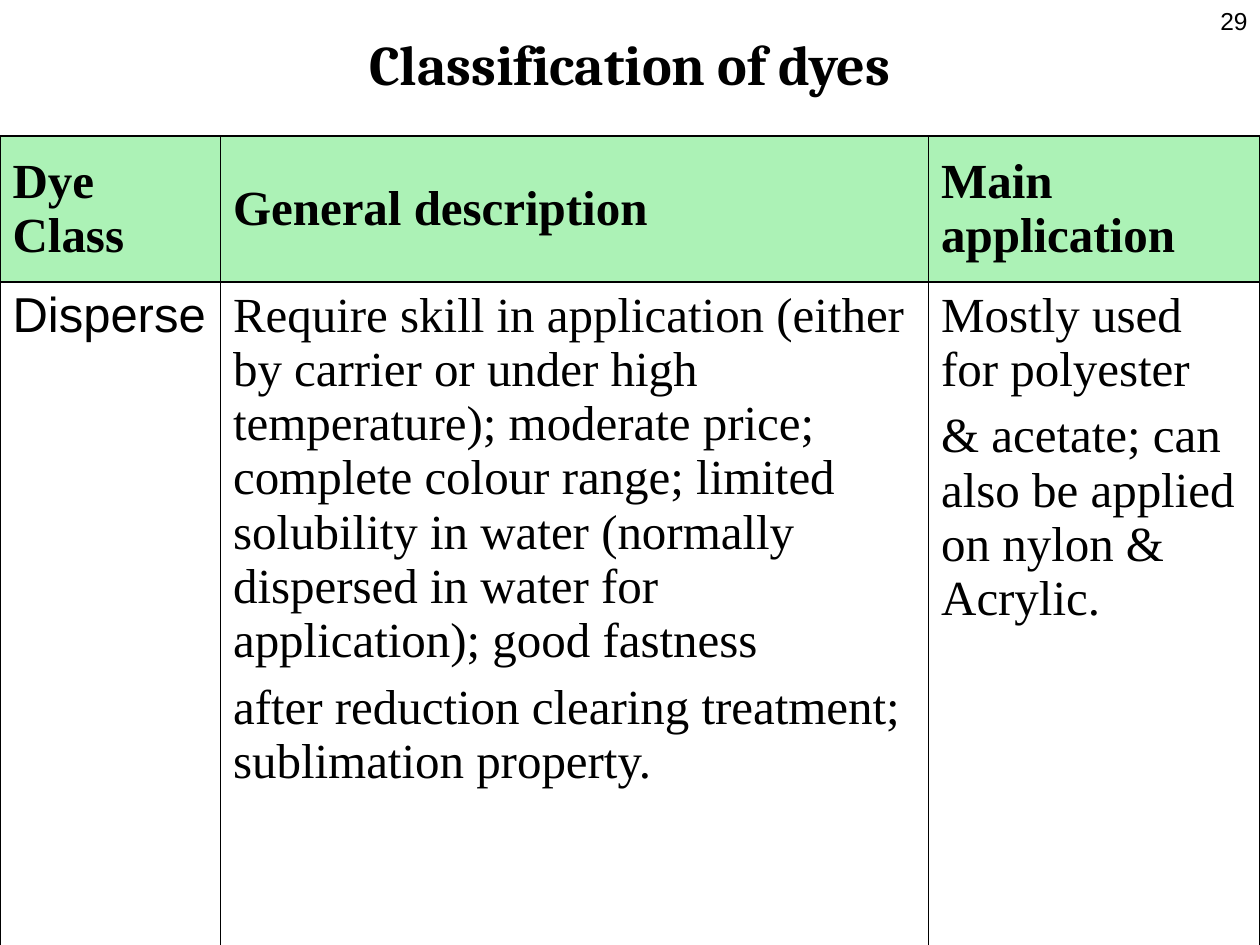
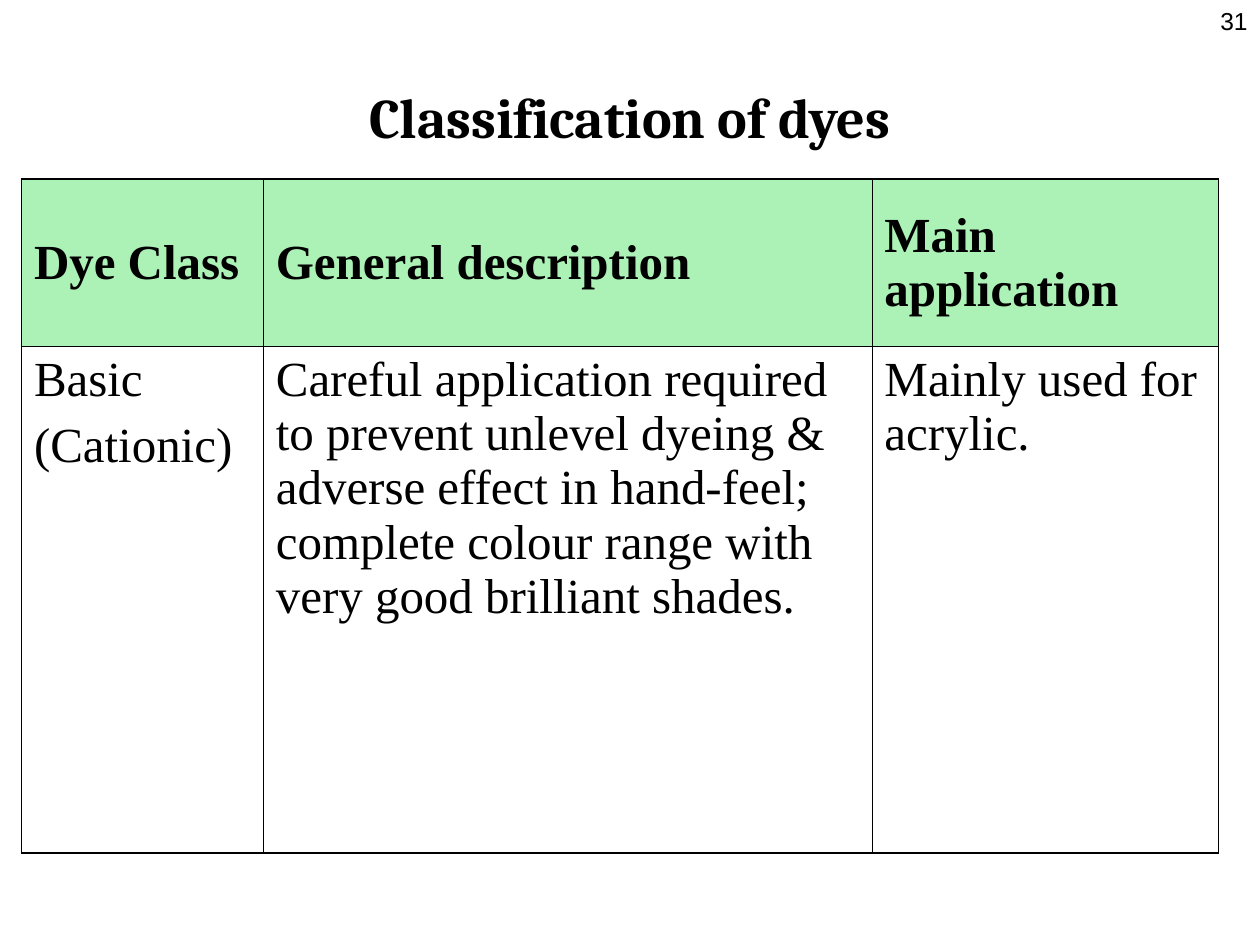
from lxml.etree import SubElement
from pptx import Presentation
from pptx.dml.color import RGBColor
from pptx.enum.text import MSO_ANCHOR, PP_ALIGN
from pptx.oxml.ns import qn
from pptx.util import Inches, Pt

BLACK = "000000"
HEADER_GREEN = "ACF2B6"
WHITE = "FFFFFF"
HEADINGS = ["Dye Class", "General description", "Main application"]
OUTER_LINE = 1.08
INNER_LINE = 0.45

DYE_SLIDES = [
    {
        "number": "29",
        "title_box": (0.75, 0, 8.5, 1),
        "table_corner": (0, 1.08),
        "column_widths": [1.75, 5.62, 2.63],
        "row_heights": [1.16, 6.01],
        "class_font": "Arial",
        "dye": [
            "Disperse",
            "Require skill in application (either by carrier or under high temperature); "
            "moderate price; complete colour range; limited solubility in water "
            "(normally dispersed in water for application); good fastness\n"
            "after reduction clearing treatment; sublimation property.",
            "Mostly used for polyester\n& acetate; can also be applied on nylon & Acrylic.",
        ],
    },
    {
        "number": "31",
        "title_box": (0.5, 0.3, 9, 1.25),
        "table_corner": (0.17, 1.42),
        "column_widths": [1.92, 4.83, 2.75],
        "row_heights": [1.33, 4.02],
        "class_font": "Times New Roman",
        "dye": [
            "Basic\n(Cationic)",
            "Careful application required to prevent unlevel dyeing & adverse effect in "
            "hand-feel; complete colour range with very good brilliant shades.",
            "Mainly used for acrylic.",
        ],
    },
]


def style_paragraph(paragraph, font_name, size, color, bold=False):
    paragraph.font.name = font_name
    paragraph.font.size = Pt(size)
    paragraph.font.bold = bold
    paragraph.font.color.rgb = RGBColor.from_string(color)


def set_borders(cell, widths):
    properties = cell._tc.get_or_add_tcPr()
    for position, (side, width) in enumerate(widths.items()):
        line = SubElement(properties, qn(f"a:ln{side}"), w=str(Pt(width)))
        fill = SubElement(line, qn("a:solidFill"))
        SubElement(fill, qn("a:srgbClr"), val=BLACK)
        properties.insert(position, line)


presentation = Presentation()
presentation.slide_width = Inches(10)
presentation.slide_height = Inches(7.5)

for content in DYE_SLIDES:
    slide = presentation.slides.add_slide(presentation.slide_layouts[5])

    title = slide.shapes.title
    title.left, title.top, title.width, title.height = map(Inches, content["title_box"])
    title.text_frame.text = "Classification of dyes"
    title.text_frame.vertical_anchor = MSO_ANCHOR.MIDDLE
    title.text_frame.paragraphs[0].alignment = PP_ALIGN.CENTER
    style_paragraph(title.text_frame.paragraphs[0], "Cambria", 32, BLACK, bold=True)

    number_box = slide.shapes.add_textbox(Inches(7.67), 0, Inches(2.33), Inches(0.52))
    number_box.text_frame.word_wrap = True
    number_box.text_frame.text = content["number"]
    number_box.text_frame.paragraphs[0].alignment = PP_ALIGN.RIGHT
    style_paragraph(number_box.text_frame.paragraphs[0], "Arial", 14, BLACK)

    left, top = content["table_corner"]
    widths, heights = content["column_widths"], content["row_heights"]
    table = slide.shapes.add_table(
        len(heights), len(widths), Inches(left), Inches(top),
        Inches(sum(widths)), Inches(sum(heights)),
    ).table
    table.first_row = False
    table.horz_banding = False
    for column, width in zip(table.columns, widths):
        column.width = Inches(width)
    for row, height in zip(table.rows, heights):
        row.height = Inches(height)

    last_column = len(widths) - 1
    for row_index, texts in enumerate([HEADINGS, content["dye"]]):
        is_header = row_index == 0
        for column_index, text in enumerate(texts):
            cell = table.cell(row_index, column_index)
            cell.text = text
            cell.vertical_anchor = MSO_ANCHOR.MIDDLE if is_header else MSO_ANCHOR.TOP
            cell.fill.solid()
            cell.fill.fore_color.rgb = RGBColor.from_string(HEADER_GREEN if is_header else WHITE)
            is_class_name = column_index == 0 and not is_header
            font_name = content["class_font"] if is_class_name else "Times New Roman"
            for paragraph in cell.text_frame.paragraphs:
                paragraph.space_before = Pt(7)
                style_paragraph(paragraph, font_name, 28, BLACK, bold=is_header)
            set_borders(cell, {
                "L": OUTER_LINE if column_index == 0 else INNER_LINE,
                "R": OUTER_LINE if column_index == last_column else INNER_LINE,
                "T": OUTER_LINE,
                "B": OUTER_LINE,
            })

presentation.save("out.pptx")
